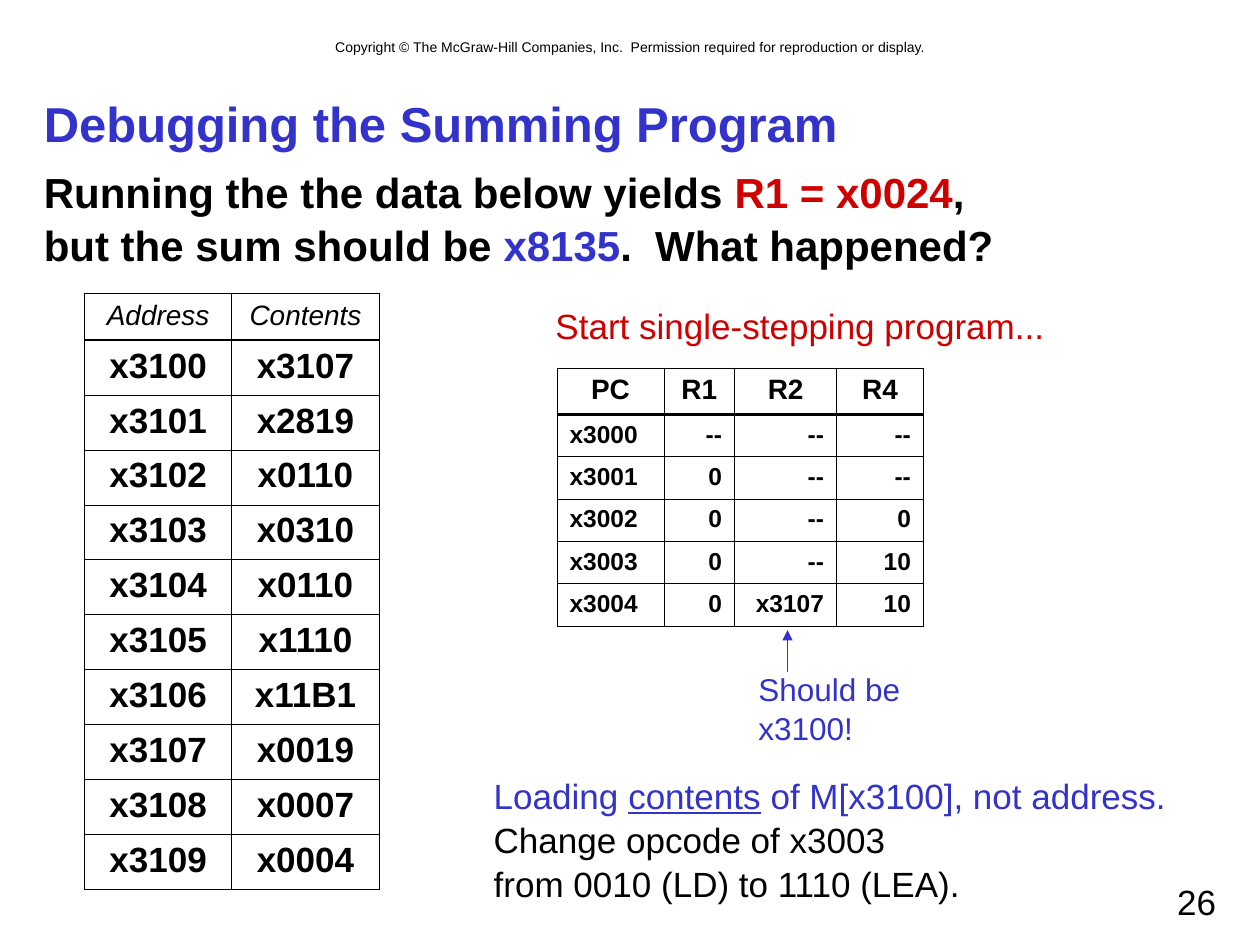
from lxml import etree
from pptx import Presentation
from pptx.dml.color import RGBColor
from pptx.enum.shapes import MSO_CONNECTOR
from pptx.enum.text import MSO_ANCHOR, PP_ALIGN
from pptx.oxml.ns import qn
from pptx.util import Inches, Pt

LEFT, MID, RIGHT = PP_ALIGN.LEFT, PP_ALIGN.CENTER, PP_ALIGN.RIGHT
TOP, CENTER = MSO_ANCHOR.TOP, MSO_ANCHOR.MIDDLE
STRAIGHT = MSO_CONNECTOR.STRAIGHT
BLACK, BLUE, RED = "000000", "3333CC", "CE0000"
THIN, THICK = 0.45, 1.47

DATA = ["x3107", "x2819", "x0110", "x0310", "x0110",
        "x1110", "x11B1", "x0019", "x0007", "x0004"]
MEMORY = [["Address", "Contents"]] + [
    [f"x{0x3100 + i:X}", word] for i, word in enumerate(DATA)]
TRACE = [
    ["PC", "R1", "R2", "R4"],
    ["x3000", "--", "--", "--"],
    ["x3001", "0", "--", "--"],
    ["x3002", "0", "--", "0"],
    ["x3003", "0", "--", "10"],
    ["x3004", "0", "x3107", "10"],
]


def paint(code):
    """Turn a hex string into a colour."""
    return RGBColor.from_string(code)


def style(para, size, color=None, bold=False, italic=False, align=LEFT):
    """Set the font and alignment of a paragraph."""
    para.alignment = align
    font = para.font
    font.name, font.size = "Arial", Pt(size)
    font.bold, font.italic = bold, italic
    if color:
        font.color.rgb = paint(color)


def add_text(slide, at, paras, size, bold=False, align=LEFT, anchor=TOP, wrap=True):
    """Add a text box; each paragraph is a list of (text, colour, underline) runs."""
    frame = slide.shapes.add_textbox(*map(Inches, at)).text_frame
    frame.word_wrap = wrap
    frame.vertical_anchor = anchor
    for i, runs in enumerate(paras):
        para = frame.add_paragraph() if i else frame.paragraphs[0]
        colors = {color for _, color, *_ in runs}
        shared = colors.pop() if len(colors) == 1 else None
        style(para, size, shared, bold, align=align)
        para.line_spacing = 1.05
        for text, color, *under in runs:
            for j, line in enumerate(text.split("\n")):
                if j:
                    para.add_line_break()
                run = para.add_run()
                run.text = line
                if not shared:
                    run.font.color.rgb = paint(color)
                if under:
                    run.font.underline = True


def add_border(cell, side, width):
    """Draw one black side of a cell."""
    line = etree.Element(qn(f"a:ln{side}"), w=str(Pt(width)))
    fill = etree.SubElement(line, qn("a:solidFill"))
    etree.SubElement(fill, qn("a:srgbClr"), val=BLACK)
    return line


def frame_cell(cell, row):
    """Border a cell, with a thick rule below the heading row."""
    widths = {"L": THIN, "R": THIN,
              "T": THICK if row == 1 else THIN,
              "B": THICK if row == 0 else THIN}
    cell.fill.background()
    props = cell._tc.get_or_add_tcPr()
    for i, (side, width) in enumerate(widths.items()):
        props.insert(i, add_border(cell, side, width))


def add_grid(slide, at, rows, widths, heights, head, body, aligns):
    """Add a table with a heading style and a body style."""
    shape = slide.shapes.add_table(len(rows), len(widths), *map(Inches, at))
    table = shape.table
    table.first_row = table.horz_banding = False
    for col, width in zip(table.columns, widths):
        col.width = Inches(width)
    for r, (row, height) in enumerate(zip(rows, heights)):
        table.rows[r].height = Inches(height)
        for c, text in enumerate(row):
            cell = table.cell(r, c)
            cell.text = text
            para = cell.text_frame.paragraphs[0]
            if r:
                style(para, color=BLACK, align=aligns[c], **body)
            else:
                style(para, color=BLACK, align=MID, **head)
            frame_cell(cell, r)


def add_arrow(slide, start, end, color):
    """Add a thin line with an arrowhead at its end."""
    line = slide.shapes.add_connector(STRAIGHT, *map(Inches, start + end))
    line.line.color.rgb = paint(color)
    line.line.width = Pt(0.75)
    etree.SubElement(line.line._get_or_add_ln(), qn("a:tailEnd"), type="triangle")
    etree.SubElement(line._element.spPr, qn("a:effectLst"))


def main():
    """Build the slide and save it."""
    deck = Presentation()
    deck.slide_width, deck.slide_height = Inches(10), Inches(7.5)
    slide = deck.slides.add_slide(deck.slide_layouts[6])
    add_text(slide, (0.67, 0.25, 8.67, 0.24), [[(
        "Copyright © The McGraw-Hill Companies, Inc.  "
        "Permission required for reproduction or display.", BLACK)]], 8, align=MID)
    add_text(slide, (0.25, 0.67, 9.5, 0.58),
             [[("Debugging the Summing Program", BLUE)]], 28, True, anchor=CENTER)
    add_text(slide, (0.25, 1.25, 9.5, 0.95), [[
        ("Running the the data below yields ", BLACK), ("R1 = x0024", RED),
        (",\nbut the sum should be ", BLACK), ("x8135", BLUE),
        (".  What happened?", BLACK)]], 24, True)
    add_grid(slide, (0.67, 2.33, 2.33, 4.73), MEMORY, [1.17] * 2,
             [0.37] + [0.436] * len(DATA), {"size": 16, "italic": True},
             {"size": 20, "bold": True}, [MID, MID])
    add_grid(slide, (4.42, 2.92, 2.92, 2.05), TRACE, [0.85, 0.56, 0.81, 0.69],
             [0.37] + [0.336] * 5, {"size": 16, "bold": True},
             {"size": 14, "bold": True}, [LEFT, RIGHT, RIGHT, RIGHT])
    add_text(slide, (4.31, 2.35, 4.08, 0.44),
             [[("Start single-stepping program...", RED)]], 20, wrap=False)
    add_text(slide, (5.92, 5.25, 2.14, 0.4),
             [[("Should be x3100!", BLUE)]], 18, wrap=False)
    add_arrow(slide, (6.25, 5.33), (6.25, 5), BLUE)
    add_text(slide, (3.82, 6.08, 5.54, 1.1), [
        [("Loading ", BLUE), ("contents", BLUE, True),
         (" of M[x3100], not address.", BLUE)],
        [("Change opcode of x3003\nfrom 0010 (LD) to 1110 (LEA).", BLACK)],
    ], 20, wrap=False)
    add_text(slide, (7.17, 6.92, 2.58, 0.42), [[("26", BLACK)]], 20, align=RIGHT)
    deck.save("out.pptx")


if __name__ == "__main__":
    main()
